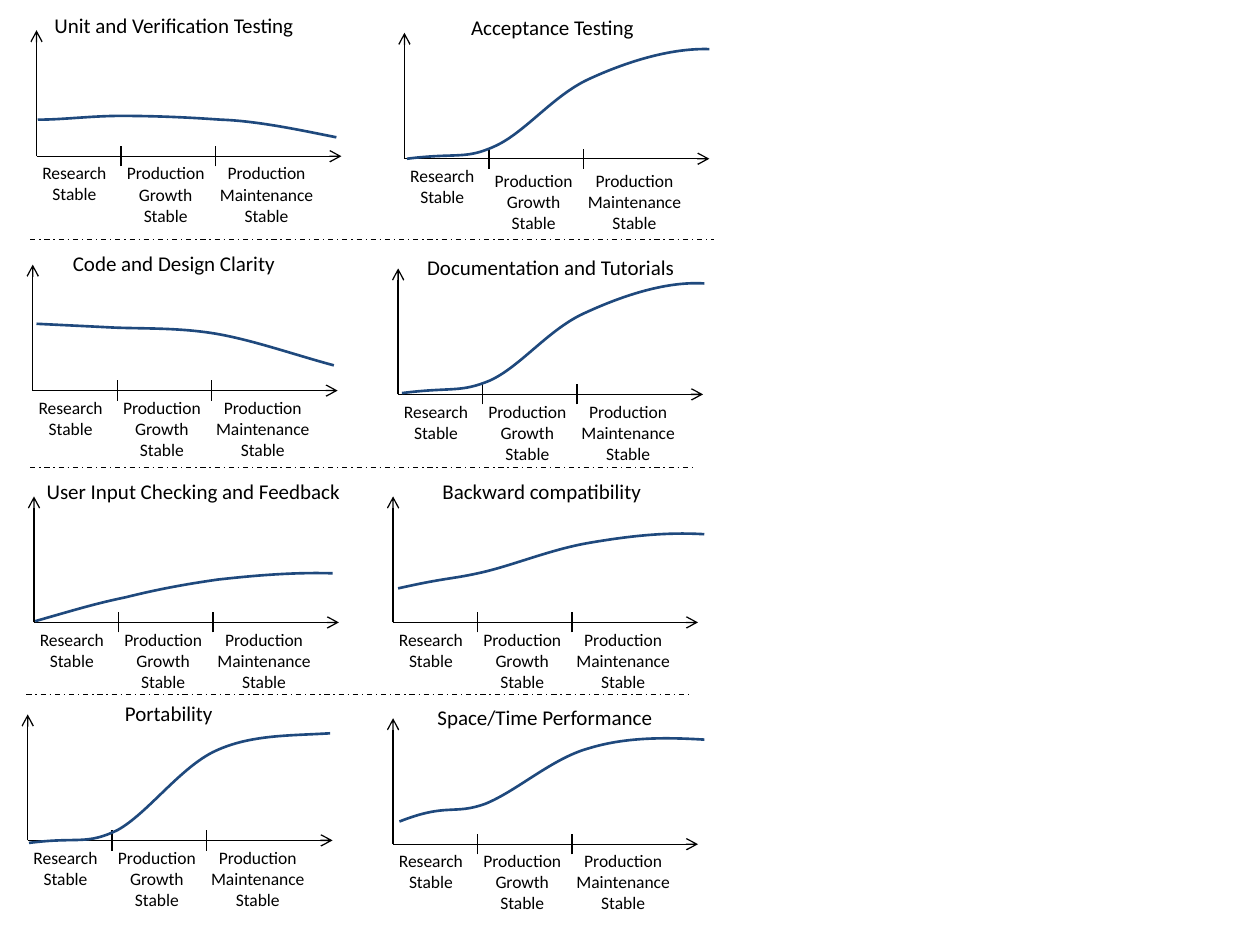
from lxml import etree
from pptx import Presentation
from pptx.dml.color import RGBColor
from pptx.enum.dml import MSO_LINE_DASH_STYLE as DASH
from pptx.enum.shapes import MSO_CONNECTOR
from pptx.enum.text import MSO_AUTO_SIZE, PP_ALIGN
from pptx.oxml.ns import qn
from pptx.util import Inches, Pt

BLACK = RGBColor(0x00, 0x00, 0x00)
CURVE_BLUE = RGBColor(0x1F, 0x49, 0x7D)
AXIS_WIDTH, AXIS_HEIGHT = 2.42, 1.0
TICK_OFFSETS = (0.67, 1.42)
TICK_HALF = 0.08

# Stage name lines, left offset from the chart origin, box width
STAGES = [
    (("Research", "Stable"), -0.06, 0.72),
    (("Production", "Growth", "Stable"), 0.61, 0.83),
    (("Production", "Maintenance", "Stable"), 1.35, 0.95),
]

# Title, title box (left, top, width), origin, drop of the production labels,
# and curve as a start point followed by three Bezier points per segment
CHARTS = [
    ("Unit and Verification Testing", (0.32, 0.05, 2.12), (0.29, 1.24), 0,
     [(0.3, 0.95), (0.51, 0.95), (0.72, 0.92), (0.96, 0.92), (1.21, 0.92),
      (1.47, 0.93), (1.75, 0.95), (2.04, 0.96), (2.37, 1.03), (2.67, 1.09)]),
    ("Acceptance Testing", (3.63, 0.07, 1.51), (3.21, 1.26), 0.04,
     [(3.23, 1.26), (3.63, 1.21), (3.69, 1.27), (3.93, 1.16), (4.17, 1.05),
      (4.39, 0.76), (4.67, 0.63), (4.95, 0.5), (5.31, 0.38), (5.63, 0.39)]),
    ("Code and Design Clarity", (0.47, 1.94, 1.82), (0.26, 3.1), 0,
     [(0.29, 2.57), (0.49, 2.58), (0.7, 2.59), (0.9, 2.6), (1.14, 2.61),
      (1.43, 2.6), (1.72, 2.65), (2.01, 2.7), (2.35, 2.82), (2.65, 2.9)]),
    ("Documentation and Tutorials", (3.28, 1.97, 2.18), (3.16, 3.13), 0,
     [(3.19, 3.12), (3.59, 3.07), (3.65, 3.12), (3.89, 3.02), (4.13, 2.91),
      (4.35, 2.62), (4.63, 2.49), (4.91, 2.36), (5.27, 2.23), (5.59, 2.25)]),
    ("User Input Checking and Feedback", (0.26, 3.75, 2.55), (0.27, 4.94), 0,
     [(0.28, 4.93), (0.63, 4.83), (0.76, 4.79), (1, 4.74), (1.24, 4.68),
      (1.45, 4.64), (1.73, 4.6), (2, 4.57), (2.32, 4.54), (2.64, 4.55)]),
    ("Backward compatibility", (3.4, 3.75, 1.8), (3.12, 4.94), 0,
     [(3.16, 4.67), (3.56, 4.58), (3.58, 4.6), (3.84, 4.54), (4.09, 4.48),
      (4.38, 4.36), (4.67, 4.31), (4.96, 4.26), (5.27, 4.22), (5.59, 4.24)]),
    ("Portability", (0.89, 5.51, 0.9), (0.22, 6.67), 0,
     [(0.23, 6.69), (0.62, 6.64), (0.68, 6.71), (0.93, 6.59), (1.17, 6.46),
      (1.43, 6.09), (1.71, 5.96), (1.99, 5.83), (2.3, 5.84), (2.62, 5.82)]),
    ("Space/Time Performance", (3.36, 5.54, 1.93), (3.12, 6.7), 0,
     [(3.17, 6.52), (3.55, 6.37), (3.6, 6.47), (3.85, 6.38), (4.1, 6.28),
      (4.38, 6.02), (4.67, 5.94), (4.96, 5.85), (5.27, 5.85), (5.59, 5.87)]),
]

# Left, right and height of the rules between chart rows
SEPARATORS = [(0.24, 5.67, 1.9), (0.24, 5.51, 3.71), (0.21, 5.47, 5.51)]

presentation = Presentation()
presentation.slide_width = Inches(10)
presentation.slide_height = Inches(7.5)
slide = presentation.slides.add_slide(presentation.slide_layouts[6])


def add_text(lines, left, top, width, height, size=10, color=BLACK, font="Calibri"):
    box = slide.shapes.add_textbox(Inches(left), Inches(top), Inches(width), Inches(height))
    frame = box.text_frame
    frame.word_wrap = False
    frame.auto_size = MSO_AUTO_SIZE.SHAPE_TO_FIT_TEXT
    for index, line in enumerate(lines):
        paragraph = frame.paragraphs[0] if index == 0 else frame.add_paragraph()
        paragraph.alignment = PP_ALIGN.CENTER
        run = paragraph.add_run()
        run.text = line
        run.font.size = Pt(size)
        run.font.name = font
        run.font.color.rgb = color


def add_line(x1, y1, x2, y2, arrow=False, dash=None):
    line = slide.shapes.add_connector(
        MSO_CONNECTOR.STRAIGHT, Inches(x1), Inches(y1), Inches(x2), Inches(y2))
    line.line.color.rgb = BLACK
    line.line.width = Pt(0.75)
    if dash:
        line.line.dash_style = dash
    if arrow:
        etree.SubElement(line.line._get_or_add_ln(), qn("a:tailEnd"), type="arrow")
    etree.SubElement(line._element.spPr, qn("a:effectLst"))


for title, (title_left, title_top, title_width), (x, y), drop, bezier in CHARTS:
    add_line(x, y, x, y - AXIS_HEIGHT, arrow=True)
    add_line(x, y, x + AXIS_WIDTH, y, arrow=True)
    for offset in TICK_OFFSETS:
        add_line(x + offset, y + TICK_HALF, x + offset, y - TICK_HALF)

    for lines, offset, width in STAGES:
        top = y if lines[0] == "Research" else y + drop
        add_text(lines, x + offset, top, width, 0.1 + 0.17 * len(lines))
    add_text([title], title_left, title_top, title_width, 0.3, size=12)

    # Join the anchor points first, then turn each straight piece into a Bezier
    points = [(Inches(px), Inches(py)) for px, py in bezier]
    builder = slide.shapes.build_freeform(*points[0])
    builder.add_line_segments(points[3::3], close=False)
    curve = builder.convert_to_shape()
    for index, straight in enumerate(list(curve._element.iter(qn("a:lnTo")))):
        cubic = etree.Element(qn("a:cubicBezTo"))
        for px, py in points[3 * index + 1:3 * index + 4]:
            etree.SubElement(cubic, qn("a:pt"),
                             x=str(px - curve.left), y=str(py - curve.top))
        straight.getparent().replace(straight, cubic)
    curve.shadow.inherit = False
    curve.fill.background()
    curve.line.color.rgb = CURVE_BLUE
    curve.line.width = Pt(1.5)

for left, right, height in SEPARATORS:
    add_line(left, height, right, height, dash=DASH.DASH_DOT)

presentation.save("out.pptx")
